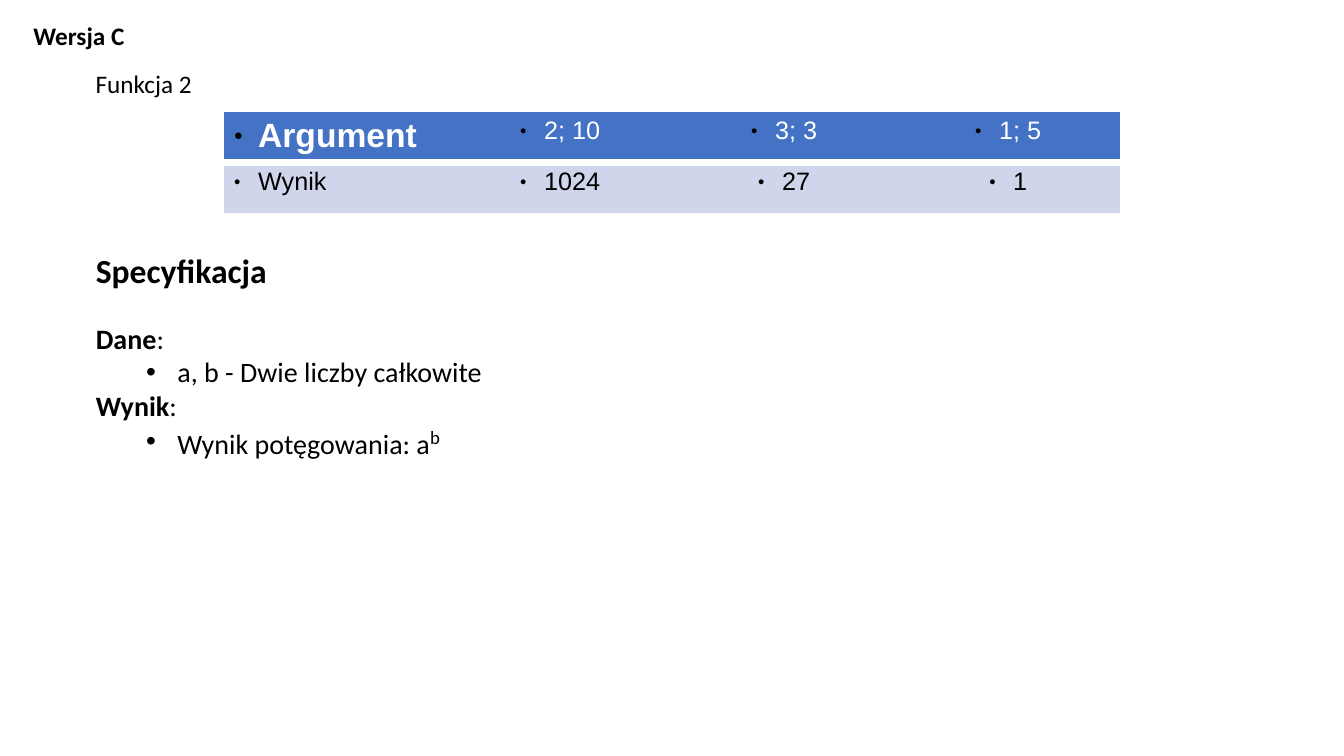
import lxml.etree
import pptx
import pptx.dml.color
import pptx.enum.text
import pptx.oxml.ns
import pptx.util

BLACK = pptx.dml.color.RGBColor(0x00, 0x00, 0x00)
WHITE = pptx.dml.color.RGBColor(0xFF, 0xFF, 0xFF)
HEADER_BLUE = pptx.dml.color.RGBColor(0x44, 0x72, 0xC4)
ROW_BLUE = pptx.dml.color.RGBColor(0xCF, 0xD5, 0xEA)
NO_STYLE = "{2D5ABB26-0587-4C30-8999-92F81FD0307C}"
Inches = pptx.util.Inches
Pt = pptx.util.Pt
qn = pptx.oxml.ns.qn


def add_element(parent, tag, **attributes):
    return lxml.etree.SubElement(parent, qn(tag), attributes)


def set_bullet(para, char, margin, hang, percent=100):
    properties = para._p.get_or_add_pPr()
    properties.set("marL", str(Inches(margin)))
    properties.set("indent", str(Inches(-hang)))
    add_element(add_element(properties, "a:buClr"), "a:srgbClr", val=str(BLACK))
    add_element(properties, "a:buSzPct", val=str(percent * 1000))
    add_element(properties, "a:buFont", typeface="Arial")
    add_element(properties, "a:buChar", char=char)


def clear_bullet(para):
    properties = para._p.get_or_add_pPr()
    properties.set("marL", "0")
    properties.set("indent", "0")
    add_element(properties, "a:buNone")


def add_span(para, text, size, bold=False, color=BLACK, font="Calibri"):
    span = para.add_run()
    span.text = text
    span.font.name = font
    span.font.size = Pt(size)
    span.font.bold = bold
    span.font.color.rgb = color
    return span


def place(shape, box):
    """Move a text shape to its box and return its text frame."""
    shape.left, shape.top, shape.width, shape.height = map(Inches, box)
    frame = shape.text_frame
    frame.word_wrap = True
    frame.auto_size = pptx.enum.text.MSO_AUTO_SIZE.NONE
    frame.vertical_anchor = pptx.enum.text.MSO_ANCHOR.TOP
    return frame


def add_label(shape, box, text, bold=False):
    frame = place(shape, box)
    para = frame.paragraphs[0]
    para.alignment = pptx.enum.text.PP_ALIGN.LEFT
    add_span(para, text, 18, bold)
    return frame


def add_results_table(page, box, rows):
    left, top, width, height = map(Inches, box)
    table = page.shapes.add_table(
        len(rows), len(rows[0]), left, top, width, height).table
    table._tbl.tblPr.find(qn("a:tableStyleId")).text = NO_STYLE
    for row_index, texts in enumerate(rows):
        header = row_index == 0
        for column_index, text in enumerate(texts):
            cell = table.cell(row_index, column_index)
            cell.fill.solid()
            cell.fill.fore_color.rgb = HEADER_BLUE if header else ROW_BLUE
            para = cell.text_frame.paragraphs[0]
            set_bullet(para, "●", 0.24, 0.24, 45)
            if column_index:
                para.alignment = pptx.enum.text.PP_ALIGN.CENTER
            heading = header and column_index == 0
            add_span(para, text, 24 if heading else 18, heading,
                     WHITE if header else BLACK, "Arial")
            # White rule under the header row
            if header:
                properties = cell._tc.get_or_add_tcPr()
                rule = add_element(properties, "a:lnB", w=str(Pt(6)))
                add_element(add_element(rule, "a:solidFill"),
                            "a:srgbClr", val=str(WHITE))
                properties.insert(0, rule)


def add_specification(body, box):
    frame = place(body, box)
    heading = frame.paragraphs[0]
    clear_bullet(heading)
    heading.space_before = Pt(0)
    add_span(heading, "Specyfikacja", 24, True)

    sections = [("Dane", "a, b - Dwie liczby całkowite", "", 22),
                ("Wynik", "Wynik potęgowania: a", "b", 0)]
    for name, detail, exponent, gap in sections:
        para = frame.add_paragraph()
        clear_bullet(para)
        para.space_before = Pt(gap)
        add_span(para, name, 20, True)
        add_span(para, ":", 20)

        item = frame.add_paragraph()
        item.level = 1
        set_bullet(item, "•", 0.81, 0.31)
        item.space_before = Pt(0)
        add_span(item, detail, 20)
        if exponent:
            span = add_span(item, exponent, 23.1)
            span._r.get_or_add_rPr().set("baseline", "30000")


def build_function_page(deck):
    page = deck.slides.add_slide(deck.slide_layouts[1])
    # Version and function labels
    title = add_label(page.shapes.title, (0.23, 0.15, 1.12, 0.4), "Wersja C", True)
    title.word_wrap = False
    add_label(page.shapes.add_textbox(0, 0, 0, 0), (0.85, 0.63, 1.77, 0.4), "Funkcja 2")
    # Arguments and results
    add_results_table(page, (2.22, 1.11, 8.89, 1), [
        ["Argument", "2; 10", "3; 3", "1; 5"],
        ["Wynik", "1024", "27", "1"],
    ])
    # Specification list
    add_specification(page.placeholders[1], (0.85, 2.43, 10.26, 2.15))


def main():
    deck = pptx.Presentation()
    deck.slide_width = Inches(13.33)
    deck.slide_height = Inches(7.5)
    build_function_page(deck)
    deck.save("out.pptx")


if __name__ == "__main__":
    main()
